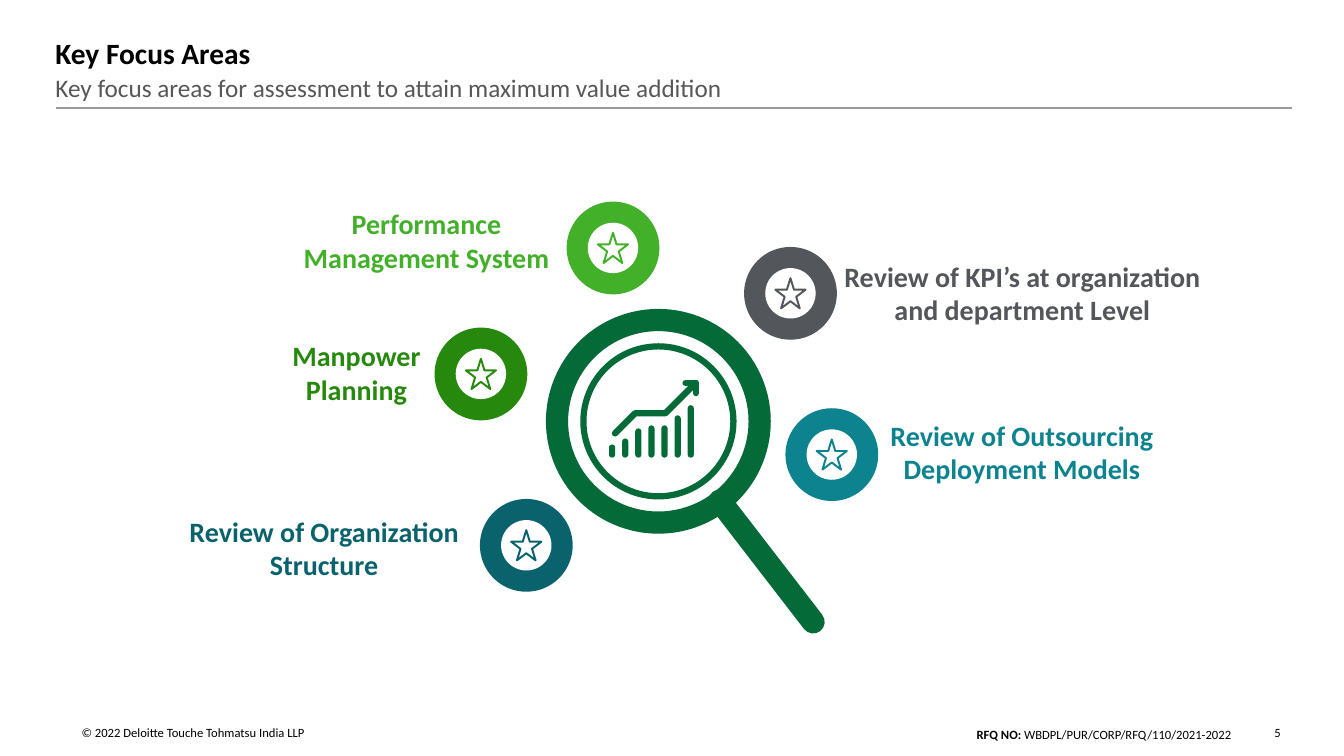
from dataclasses import dataclass
from pptx import Presentation
from pptx.dml.color import RGBColor as Rgb
from pptx.enum.shapes import MSO_CONNECTOR as Link, MSO_SHAPE as Kind
from pptx.enum.text import PP_ALIGN as Align
from pptx.oxml.ns import qn
from pptx.util import Inches, Pt
from lxml.etree import SubElement as Sub


@dataclass(frozen=True)
class Theme:
    font: str = "Calibri"
    black: str = "000000"
    white: str = "FFFFFF"
    gray: str = "575757"
    rule: str = "999999"
    deep: str = "046A38"
    lime: str = "43B02A"
    leaf: str = "26890D"
    slate: str = "53565A"
    teal: str = "0D8390"
    sea: str = "0A626C"
    title: int = 21
    lead: int = 18
    label: int = 20
    foot: int = 9


T = Theme()

# Grid: 133.3 columns by 75 rows of square cells
CELL = Inches(0.1)
BADGE, DISK, STAR = 9.2, 5, 3

# Badge left and top, colour, label, label box (left, top, width)
AREAS = [
    (56.2, 20, T.lime, "Performance Management System", (27.3, 20.5, 30)),
    (43.1, 32.5, T.leaf, "Manpower Planning", (23.9, 33.6, 22.9)),
    (47.6, 49.5, T.sea, "Review of Organization Structure", (15, 51, 34.3)),
    (73.8, 24.5, T.slate, "Review of KPI’s at organization and department Level",
     (82, 25.7, 38.8)),
    (77.9, 40.5, T.teal, "Review of Outsourcing Deployment Models", (84.2, 41.5, 34.3)),
]


def cells(*nums):
    return [round(n * CELL) for n in nums]


def ink(color):
    return Rgb.from_string(color)


def text(slide, box, runs, size, color=T.black, align=Align.LEFT, bold=None, lead=None):
    """Add a one-paragraph text box; runs are (words, bold) pairs or a plain string."""
    frame = slide.shapes.add_textbox(*cells(*box)).text_frame
    frame.word_wrap = True
    frame.margin_left = frame.margin_right = frame.margin_top = frame.margin_bottom = 0
    para = frame.paragraphs[0]
    para.alignment = align
    if lead:
        para.line_spacing = lead
    font = para.font
    font.name, font.size, font.bold = T.font, Pt(size), bold
    font.color.rgb = ink(color)
    for words, heavy in [(runs, None)] if isinstance(runs, str) else runs:
        run = para.add_run()
        run.text = words
        run.font.bold = heavy


def solid(slide, kind, box, color, adjust=None):
    """Add a filled shape without outline."""
    shape = slide.shapes.add_shape(kind, *cells(*box))
    shape.shadow.inherit = False
    shape.fill.solid()
    shape.fill.fore_color.rgb = ink(color)
    shape.line.fill.background()
    if adjust is not None:
        shape.adjustments[0] = adjust
    return shape


def disc(slide, mid, size, color, wall=None):
    """Add a circle around its centre, or a ring when a wall is given."""
    box = (mid[0] - size / 2, mid[1] - size / 2, size, size)
    if wall:
        solid(slide, Kind.DONUT, box, color, wall / size)
    else:
        solid(slide, Kind.OVAL, box, color)


def stroke(line, color, width, cap=None):
    line.color.rgb = ink(color)
    line.width = Pt(width)
    if cap:
        node = line._get_or_add_ln()
        node.set("cap", cap)
        Sub(node, qn("a:round"))


def rule(slide, start, end, color, width, cap=None):
    link = slide.shapes.add_connector(Link.STRAIGHT, *cells(*start, *end))
    stroke(link.line, color, width, cap)
    Sub(link._element.spPr, qn("a:effectLst"))


def trace(slide, points, color, width):
    """Add an open outline through the points."""
    pen = slide.shapes.build_freeform(*points[0], scale=CELL)
    pen.add_line_segments(points[1:], close=False)
    shape = pen.convert_to_shape()
    shape.shadow.inherit = False
    shape.fill.background()
    stroke(shape.line, color, width, "rnd")


def badge(slide, left, top, color):
    mid = (left + BADGE / 2, top + BADGE / 2)
    disc(slide, mid, BADGE, color)
    disc(slide, mid, DISK, T.white)
    star = solid(slide, Kind.STAR_5_POINT,
                 (mid[0] - STAR / 2, mid[1] - STAR / 2, STAR, STAR), T.white)
    stroke(star.line, color, 1.4)


def lens(slide):
    # Magnifier: handle, rim and inner ring
    mid = (65.3, 41.8)
    rule(slide, (71.4, 49.7), (80.65, 61.7), T.deep, 16.5, "rnd")
    disc(slide, mid, 22.3, T.deep, 2.2)
    disc(slide, mid, 15.5, T.deep, 0.62)
    # Growth chart icon: rising bars under an arrow
    base, wide = 45.4, 0.62
    for i, top in enumerate([44.1, 43.5, 42.5, 42.2, 42.2, 41.2, 40.2]):
        solid(slide, Kind.ROUNDED_RECTANGLE,
              (60.4 + 1.3 * i, top, wide, base - top), T.deep, 0.5)
    tip = (69.1, 38)
    trace(slide, [(60.7, 43.2), (63.3, 41.2), (66, 41.2), tip], T.deep, 4.5)
    trace(slide, [(67.8, 38), tip, (69.1, 39.3)], T.deep, 4.5)


def main():
    deck = Presentation()
    deck.slide_width, deck.slide_height = cells(133.3, 75)
    slide = deck.slides.add_slide(deck.slide_layouts[6])

    # Heading
    text(slide, (5.5, 3.5, 122.4, 3.7), "Key Focus Areas", T.title, bold=True)
    text(slide, (5.5, 7.2, 122.4, 3.3),
         "Key focus areas for assessment to attain maximum value addition",
         T.lead, T.gray)
    rule(slide, (5.6, 10.7), (128.1, 10.7), T.rule, 1)

    # Focus areas around the magnifier
    lens(slide)
    for left, top, color, words, box in AREAS:
        badge(slide, left, top, color)
        text(slide, (*box, 6.7), words, T.label, color, Align.CENTER, True)

    # Footer
    text(slide, (8.1, 71.9, 45, 1.5), "© 2022 Deloitte Touche Tohmatsu India LLP", T.foot)
    text(slide, (57.4, 71.9, 64.7, 1.7),
         [("RFQ NO: ", True), ("WBDPL/PUR/CORP/RFQ/110/2021-2022", False)],
         T.foot, align=Align.RIGHT, lead=1.14)
    text(slide, (126.4, 71.9, 1.5, 1.5), "5", T.foot)

    deck.save("out.pptx")


if __name__ == "__main__":
    main()
